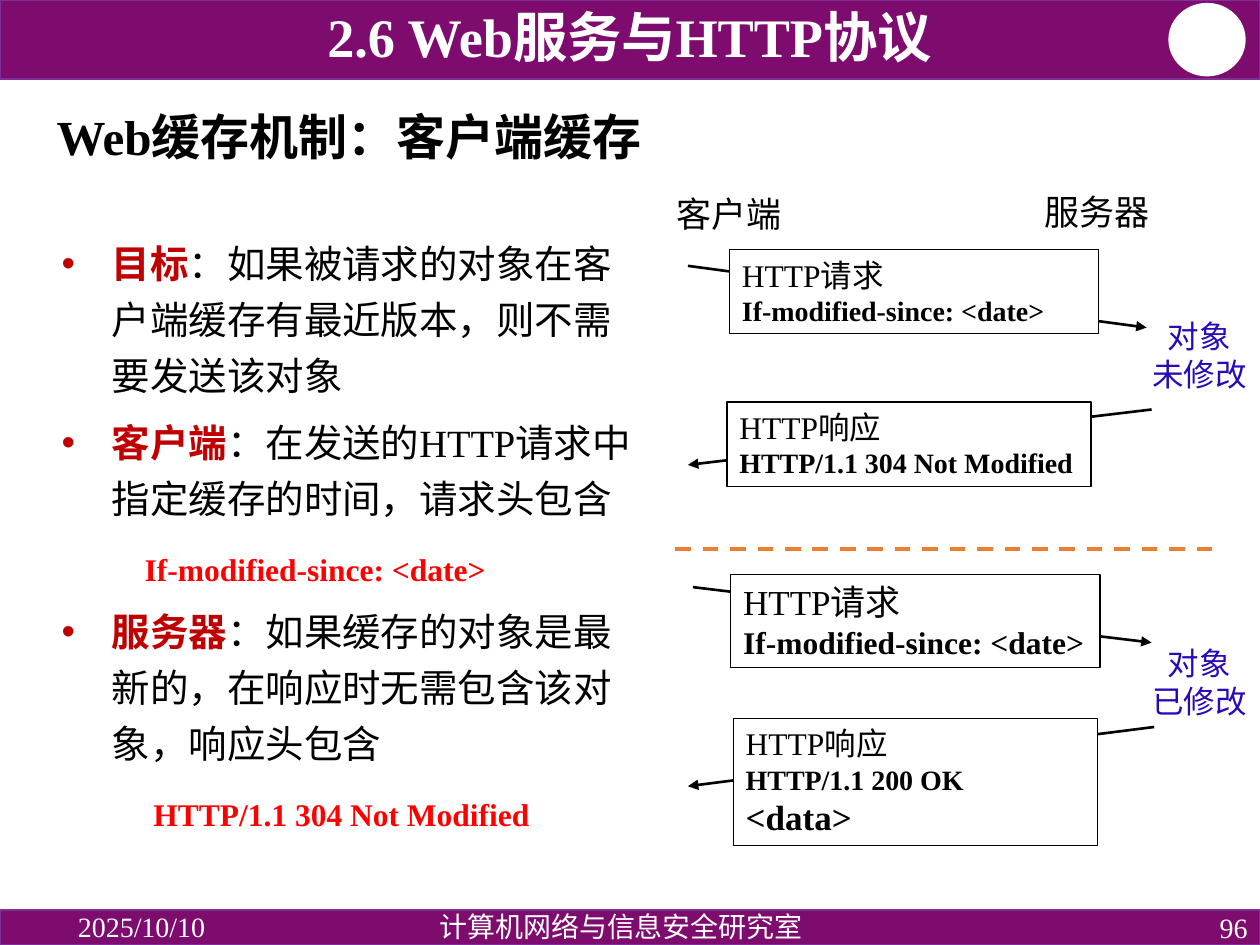
"""Build the slide on client-side Web caching on a grid of 100 columns by 75 rows."""
from lxml.etree import SubElement
from pptx import Presentation
from pptx.dml.color import RGBColor
from pptx.enum.dml import MSO_LINE
from pptx.enum.shapes import MSO_CONNECTOR, MSO_SHAPE
from pptx.enum.text import MSO_ANCHOR as ANCHOR, PP_ALIGN as ALIGN
from pptx.oxml.ns import qn
from pptx.util import Inches, Pt

WHITE = RGBColor(0xFF, 0xFF, 0xFF)
BLACK = RGBColor(0x00, 0x00, 0x00)
PURPLE = RGBColor(0x7E, 0x0C, 0x6E)
VIOLET = RGBColor(0x7F, 0x2F, 0x95)
DARK_RED = RGBColor(0xC0, 0x00, 0x00)
RED = RGBColor(0xFF, 0x00, 0x00)
BLUE = RGBColor(0x2A, 0x09, 0xB7)
ORANGE = RGBColor(0xED, 0x7D, 0x31)
SERIF, SANS, CJK = "Times New Roman", "Arial", "Noto Sans CJK SC"
COLS, ROWS = 100, 75
UNIT = Inches(0.1)

prs = Presentation()
prs.slide_width, prs.slide_height = COLS * UNIT, ROWS * UNIT
s = prs.slides.add_slide(prs.slide_layouts[6])


def add_shape(kind, box, fill, line, width):
    sp = s.shapes.add_shape(kind, *[int(v * UNIT) for v in box])
    sp.shadow.inherit = False
    sp.fill.solid()
    sp.fill.fore_color.rgb = fill
    sp.line.color.rgb = line
    sp.line.width = Pt(width)
    return sp


def add_text(box, lines, color=BLACK, font=SERIF, align=ALIGN.LEFT,
             anchor=ANCHOR.TOP, wrap=True, spacing=None, sp=None):
    sp = sp or s.shapes.add_textbox(*[int(v * UNIT) for v in box])
    tf = sp.text_frame
    tf.word_wrap = wrap
    tf.vertical_anchor = anchor
    tf.text = "\n".join(text for text, size, bold in lines)
    for p, (text, size, bold) in zip(tf.paragraphs, lines):
        p.alignment = align
        p.line_spacing = spacing
        f = p.runs[0].font
        f.name, f.size, f.bold, f.color.rgb = font, Pt(size), bold, color


for top, height in ((0, 6.3), (72.2, 2.8)):
    add_shape(MSO_SHAPE.RECTANGLE, (0, top, COLS, height), PURPLE, VIOLET, 1)
add_shape(MSO_SHAPE.OVAL, (92.8, 0.3, 6, 5.7), WHITE, WHITE, 1)

add_text((5.2, 72.2, 22.5, 2.6), [("2025/10/10", 16, False)], WHITE, anchor=ANCHOR.MIDDLE)
add_text((77.5, 72.2, 22.5, 2.8), [("96", 16, False)], WHITE,
         align=ALIGN.RIGHT, anchor=ANCHOR.MIDDLE)
add_text((26.9, 72, 44.8, 2.8), [("计算机网络与信息安全研究室", 16, False)], WHITE,
         align=ALIGN.CENTER, spacing=0.9)
add_text((3.5, 6.7, 92.9, 8.8), [("Web缓存机制：客户端缓存", 28, True)],
         anchor=ANCHOR.MIDDLE, spacing=0.9)
add_text((7.2, 0.4, 85.5, 5.6), [("2.6 Web服务与HTTP协议", 31, True)], WHITE,
         align=ALIGN.CENTER, anchor=ANCHOR.BOTTOM, spacing=0.9)

points = [
    ("目标", "：如果被请求的对象在客户端缓存有最近版本，则不需要发送该对象", 4),
    ("客户端", "：在发送的HTTP请求中指定缓存的时间，请求头包含", 4),
    ("", "If-modified-since: <date>", 6.6),
    ("服务器", "：如果缓存的对象是最新的，在响应时无需包含该对象，响应头包含", 4),
    ("", "HTTP/1.1 304 Not Modified", 7.3),
]
tf = s.shapes.add_textbox(*[int(v * UNIT) for v in (3.9, 17.8, 48, 48.7)]).text_frame
tf.word_wrap = True
for i, (term, body, indent) in enumerate(points):
    p = tf.paragraphs[0] if i == 0 else tf.add_paragraph()
    p.line_spacing = Pt(32)
    p.space_before = Pt(6 if i else 0)
    pPr = p._p.get_or_add_pPr()
    pPr.set("marL", str(int(indent * UNIT)))
    if term:
        pPr.set("indent", str(-int(indent * UNIT)))
        SubElement(SubElement(pPr, qn("a:buClr")), qn("a:srgbClr"), val=str(DARK_RED))
        SubElement(pPr, qn("a:buFont"), typeface=SANS)
        SubElement(pPr, qn("a:buChar"), char="•")
        runs = [(term, CJK, 22, True, DARK_RED), (body, SERIF, 22, False, BLACK)]
    else:
        p.level = 1
        runs = [(body, SERIF, 18, True, RED)]
    for text, font, size, bold, color in runs:
        r = p.add_run()
        r.text = text
        f = r.font
        f.name, f.size, f.bold, f.color.rgb = font, Pt(size), bold, color

for left, top, name in ((52.7, 14.8, "客户端"), (81.9, 14.6, "服务器")):
    add_text((left, top, 10.4, 4.4), [(name, 20, False)], wrap=False)

messages = [
    ((54.6, 21.1, 91, 26), (57.9, 19.8, 29.3, 6.7),
     [("HTTP请求", 18, False), ("If-modified-since: <date>", 16, True)]),
    ((91.4, 32.5, 54.6, 36.9), (57.7, 31.9, 28.9, 6.7),
     [("HTTP响应", 18, False), ("HTTP/1.1 304 Not Modified", 16, True)]),
    ((53.6, 43.6, 96.3, 43.6), None, []),
    ((55, 46.6, 91.4, 51), (58, 45.6, 29.3, 7.4),
     [("HTTP请求", 20, False), ("If-modified-since: <date>", 18, True)]),
    ((91.6, 57.7, 54.6, 62.4), (58.2, 57, 28.9, 10.1),
     [("HTTP响应", 18, False), ("HTTP/1.1 200 OK", 16, True), ("<data>", 20, True)]),
]
for ends, box, lines in messages:
    c = s.shapes.add_connector(MSO_CONNECTOR.STRAIGHT, *[int(v * UNIT) for v in ends])
    c.line.color.rgb = BLACK if box else ORANGE
    c.line.width = Pt(1.5 if box else 2.25)
    if box:
        SubElement(c.line._get_or_add_ln(), qn("a:tailEnd"), type="triangle")
        sp = add_shape(MSO_SHAPE.RECTANGLE, box, WHITE, BLACK, 0.75)
        add_text(box, lines, sp=sp)
    else:
        c.line.dash_style = MSO_LINE.DASH
    SubElement(c._element.spPr, qn("a:effectLst"))

for top, state in ((24.7, "未修改"), (50.6, "已修改")):
    add_text((90.4, top, 9.6, 7.1), [("对象", 18, False), (state, 18, False)], BLUE, SANS,
             align=ALIGN.CENTER, wrap=False)

prs.save("out.pptx")
